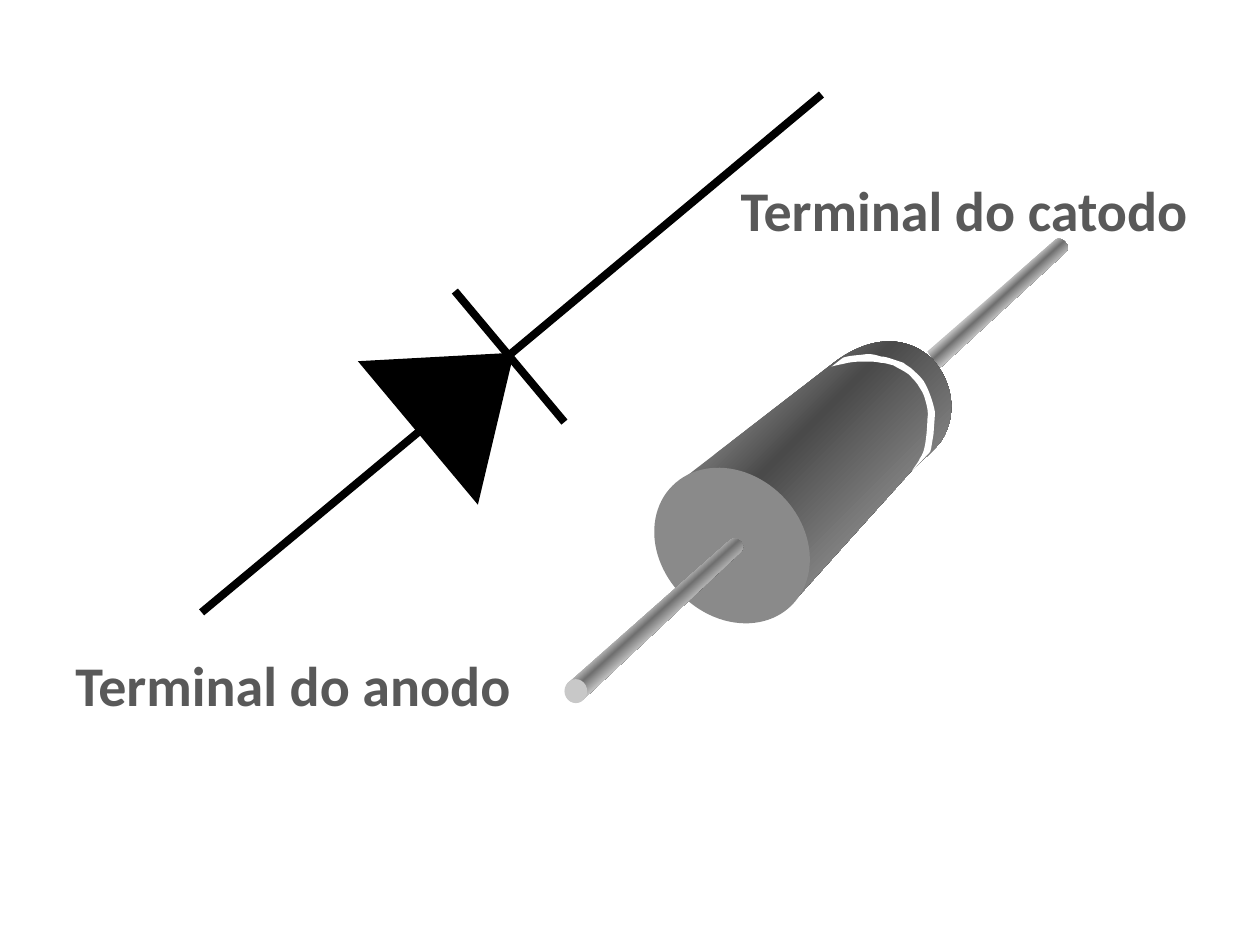
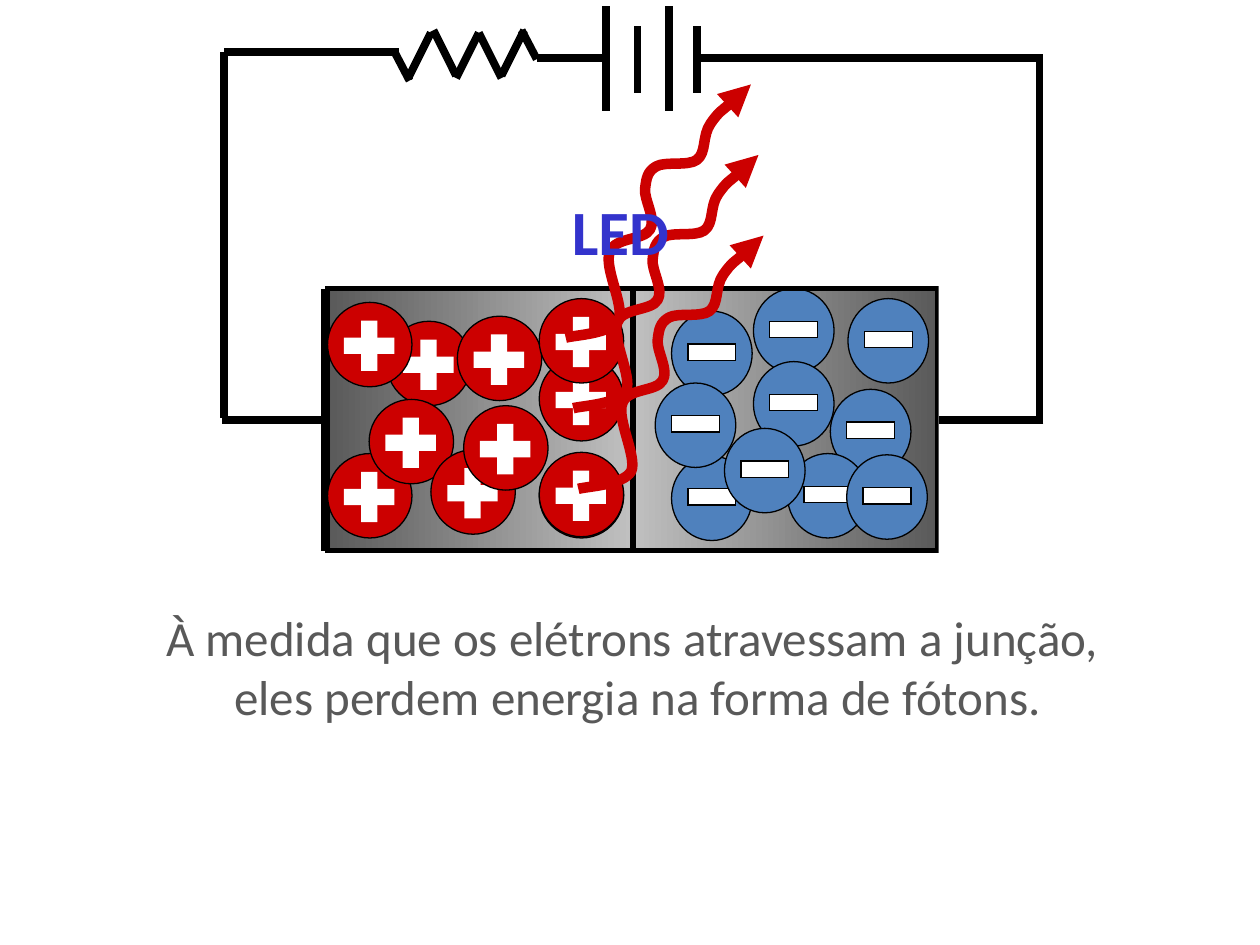
from dataclasses import dataclass
from itertools import chain
from typing import Optional, Sequence

from lxml.etree import SubElement
from pptx import Presentation
from pptx.dml.color import RGBColor
from pptx.enum.shapes import MSO_CONNECTOR, MSO_SHAPE
from pptx.enum.text import MSO_ANCHOR, MSO_AUTO_SIZE, PP_ALIGN
from pptx.oxml.ns import qn
from pptx.shapes.autoshape import Shape
from pptx.shapes.connector import Connector
from pptx.slide import Slide
from pptx.util import Emu, Pt

PX = 9144
SLIDE_SIZE = (1000, 750)
WIRE = 4.5
Point = tuple[int, int]
Segment = tuple[Point, ...]
Shades = Sequence[tuple[int, str]]

COLORS = {
    "wire": "000000",
    "text": "595959",
    "led": "3333CC",
    "hole": "CC0000",
    "electron": "4F81BD",
    "photon": "CC0000",
    "face": "8A8A8A",
    "tip": "C8C8C8",
    "white": "FFFFFF",
}
BODY_SHADES = ((27, "707070"), (40, "4A4A4A"), (72, "848484"))
LEAD_SHADES = ((45, "C0C0C0"), (49, "707070"), (55, "C8C8C8"))
JUNCTION_SHADES = ((0, "595959"), (50, "C0C0C0"), (100, "595959"))
FRAME_FORMAT = {
    "word_wrap": False,
    "auto_size": MSO_AUTO_SIZE.SHAPE_TO_FIT_TEXT,
    "vertical_anchor": MSO_ANCHOR.MIDDLE,
}


@dataclass(frozen=True)
class Box:
    left: int
    top: int
    width: int
    height: int


@dataclass(frozen=True)
class Wire:
    start: Point
    end: Point


@dataclass(frozen=True)
class Label:
    box: Box
    lines: tuple[str, ...]
    size: int
    color: str = "text"
    bold: bool = True
    align: PP_ALIGN = PP_ALIGN.LEFT


@dataclass(frozen=True)
class Carrier:
    color: str
    width: int
    sign: Box
    sign_turns: tuple[int, ...]
    sign_line: float


ELECTRON = Carrier("electron", 64, Box(13, 26, 38, 13), (0,), 0.75)
HOLE = Carrier("hole", 67, Box(13, 28, 40, 13), (0, 90), 0)
CARRIER_HEIGHT = 67

DIODE_SYMBOL = Box(301, 267, 136, 91)
DIODE_WIRES = (
    Wire((448, 335), (361, 231)),
    Wire((332, 343), (160, 486)),
    Wire((404, 282), (652, 75)),
)
TERMINAL_LABELS = (
    Label(Box(578, 134, 378, 64), ("Terminal do catodo",), 32),
    Label(Box(50, 511, 382, 64), ("Terminal do anodo",), 32),
)
LEAD_END = Box(727, 284, 16, 16)
CATHODE_LEAD = (
    ((736, 279),), ((838, 190),),
    ((842, 187), (851, 195), (846, 200)), ((746, 292),),
)
ANODE_LEAD = (
    ((450, 543),), ((579, 429),),
    ((584, 424), (594, 432), (588, 438)), ((463, 555),),
)
DIODE_BODY = (
    ((546, 377),), ((659, 290),),
    ((690, 265), (720, 266), (740, 285)),
    ((757, 304), (760, 330), (747, 350)),
    ((741, 358), (732, 365), (724, 373)),
    ((633, 474),), ((581, 433),),
)
CATHODE_BAND = (
    ((660, 291),), ((669, 284),),
    ((674, 282), (683, 282), (688, 281)),
    ((693, 281), (696, 282), (699, 283)),
    ((702, 283), (705, 284), (708, 285)),
    ((711, 286), (714, 287), (717, 288)),
    ((719, 290), (722, 291), (725, 294)),
    ((728, 297), (733, 301), (735, 306)),
    ((738, 312), (741, 321), (742, 327)),
    ((742, 333), (741, 339), (741, 344)), ((739, 356),),
    ((738, 359), (739, 358), (736, 361)), ((724, 374),),
    ((723, 374), (729, 367), (730, 364)),
    ((732, 361), (733, 359), (734, 354)),
    ((735, 349), (736, 339), (736, 333)),
    ((737, 327), (736, 324), (735, 320)),
    ((734, 316), (733, 312), (730, 308)),
    ((728, 304), (724, 300), (721, 297)),
    ((717, 294), (712, 292), (709, 290)),
    ((705, 289), (702, 288), (699, 288)),
    ((695, 287), (691, 287), (687, 287)),
    ((683, 287), (678, 287), (673, 288)),
    ((669, 289), (663, 290), (660, 291)),
)

JUNCTION = Box(258, 229, 487, 208)
JUNCTION_HALVES = (Box(260, 229, 243, 208), Box(502, 229, 243, 208))
JUNCTION_EDGES = (Wire((258, 229), (258, 437)), Wire((745, 229), (745, 437)))
RIGHT_MARGIN = Box(745, 222, 255, 220)
REAR_HOLES = ((428, 307),)
INNER_ELECTRONS = (
    (659, 309), (598, 229), (625, 360), (598, 287),
    (533, 247), (533, 362), (673, 237), (672, 361),
)
FRONT_ELECTRONS = ((575, 340), (520, 304))
HOLES = (
    (307, 255), (260, 240), (260, 360), (293, 317), (342, 357), (363, 251),
    (428, 360), (368, 322), (428, 359), (428, 283), (428, 237),
)
CIRCUIT = (
    Wire((481, 5), (481, 88)),
    Wire((531, 5), (531, 88)),
    Wire((553, 21), (553, 74)),
    Wire((506, 21), (506, 74)),
    Wire((313, 41), (325, 64)),
    Wire((324, 62), (342, 26)),
    Wire((344, 24), (362, 60)),
    Wire((362, 62), (380, 26)),
    Wire((380, 26), (398, 62)),
    Wire((398, 60), (416, 24)),
    Wire((414, 24), (426, 47)),
    Wire((317, 41), (178, 41)),
    Wire((178, 41), (178, 332)),
    Wire((555, 46), (828, 46)),
    Wire((825, 46), (825, 332)),
    Wire((426, 46), (480, 46)),
)
JUNCTION_LEADS = ((Wire((176, 333), (258, 333)), 1), (Wire((828, 333), (745, 333)), 3))
PHOTON_STARTS = ((459, 388), (449, 268), (455, 324))
PHOTON_WAVE = (
    ((0, 0),),
    ((7, -2), (36, -3), (42, -14)),
    ((47, -25), (30, -56), (35, -68)),
    ((39, -80), (62, -77), (67, -86)),
    ((72, -94), (62, -110), (63, -118)),
    ((64, -127), (65, -132), (72, -136)),
    ((79, -140), (97, -136), (104, -141)),
    ((112, -147), (108, -160), (115, -170)),
    ((122, -180), (141, -194), (147, -201)),
)
JUNCTION_LABELS = (
    Label(Box(444, 151, 123, 64), ("LED",), 36, "led"),
    Label(
        Box(109, 477, 794, 104),
        ("À medida que os elétrons atravessam a junção, ",
         "eles perdem energia na forma de fótons."),
        28, bold=False, align=PP_ALIGN.CENTER,
    ),
)


def place(box: Box) -> tuple[Emu, ...]:
    return tuple(Emu(v * PX) for v in (box.left, box.top, box.width, box.height))


def style(shape: Shape, fill: Optional[str], line: str = "wire", width: float = 0) -> Shape:
    shape.shadow.inherit = False
    if fill:
        shape.fill.solid()
        shape.fill.fore_color.rgb = RGBColor.from_string(COLORS[fill])
    else:
        shape.fill.background()
    if width:
        shape.line.color.rgb = RGBColor.from_string(COLORS[line])
        shape.line.width = Pt(width)
    else:
        shape.line.fill.background()
    return shape


def shade(shape: Shape, shades: Shades, angle: int) -> None:
    shape.fill.gradient()
    gradient = shape.element.spPr.find(qn("a:gradFill"))
    stops = gradient.find(qn("a:gsLst"))
    for stop in list(stops):
        stops.remove(stop)
    for position, color in shades:
        stop = SubElement(stops, qn("a:gs"), pos=str(position * 1000))
        SubElement(stop, qn("a:srgbClr"), val=color)
    gradient.find(qn("a:lin")).set("ang", str(angle * 60000))


def add_outline(slide: Slide, segments: Sequence[Segment], origin: Point = (0, 0),
                close: bool = True) -> Shape:
    points = [((origin[0] + x) * PX, (origin[1] + y) * PX) for x, y in chain(*segments)]
    builder = slide.shapes.build_freeform(*points[0], scale=1.0)
    builder.add_line_segments(points[1:], close=close)
    shape = builder.convert_to_shape()
    strokes = iter(list(shape.element.spPr.iter(qn("a:lnTo"))))
    for segment in segments[1:]:
        stroke = next(strokes)
        if len(segment) == 3:
            stroke.tag = qn("a:cubicBezTo")
            for _ in segment[1:]:
                control = next(strokes)
                stroke.append(control[0])
                control.getparent().remove(control)
    return shape


def add_preset(slide: Slide, kind: MSO_SHAPE, box: Box, fill: Optional[str],
               width: float = 0, turn: float = 0) -> Shape:
    shape = style(slide.shapes.add_shape(kind, *place(box)), fill, width=width)
    shape.rotation = turn
    if width and kind != MSO_SHAPE.OVAL:
        SubElement(shape.element.spPr.find(qn("a:ln")), qn("a:miter"), lim="800000")
    return shape


def add_wire(slide: Slide, wire: Wire) -> Connector:
    ends = [Emu(v * PX) for v in (*wire.start, *wire.end)]
    connector = slide.shapes.add_connector(MSO_CONNECTOR.STRAIGHT, *ends)
    connector.line.color.rgb = RGBColor.from_string(COLORS["wire"])
    connector.line.width = Pt(WIRE)
    SubElement(connector.element.spPr, qn("a:effectLst"))
    return connector


def add_label(slide: Slide, label: Label) -> None:
    frame = slide.shapes.add_textbox(*place(label.box)).text_frame
    for name, value in FRAME_FORMAT.items():
        setattr(frame, name, value)
    font_format = {"name": "Calibri", "size": Pt(label.size), "bold": label.bold}
    for index, line in enumerate(label.lines):
        paragraph = frame.add_paragraph() if index else frame.paragraphs[0]
        paragraph.alignment = label.align
        run = paragraph.add_run()
        run.text = line
        for name, value in font_format.items():
            setattr(run.font, name, value)
        run.font.color.rgb = RGBColor.from_string(COLORS[label.color])


def add_carriers(slide: Slide, carrier: Carrier, places: Sequence[Point]) -> None:
    sign = carrier.sign
    for left, top in places:
        ball = Box(left, top, carrier.width, CARRIER_HEIGHT)
        add_preset(slide, MSO_SHAPE.OVAL, ball, carrier.color, 0.75)
        bar = Box(left + sign.left, top + sign.top, sign.width, sign.height)
        for turn in carrier.sign_turns:
            add_preset(slide, MSO_SHAPE.RECTANGLE, bar, "white", carrier.sign_line, turn)


def add_photon(slide: Slide, start: Point) -> None:
    photon = style(add_outline(slide, PHOTON_WAVE, start, close=False), None, "photon", 6)
    SubElement(photon.element.spPr.find(qn("a:ln")), qn("a:tailEnd"), type="triangle")


def build_terminals(slide: Slide) -> None:
    add_preset(slide, MSO_SHAPE.ISOSCELES_TRIANGLE, DIODE_SYMBOL, "wire", WIRE, 50.1)
    for wire in DIODE_WIRES:
        add_wire(slide, wire)
    for label in TERMINAL_LABELS:
        add_label(slide, label)
    add_preset(slide, MSO_SHAPE.OVAL, LEAD_END, "white")
    shade(style(add_outline(slide, CATHODE_LEAD), None), LEAD_SHADES, 48)
    shade(style(add_outline(slide, DIODE_BODY), None), BODY_SHADES, 45)
    add_preset(slide, MSO_SHAPE.OVAL, Box(514, 377, 134, 112), "face", turn=45)
    shade(style(add_outline(slide, ANODE_LEAD), None), LEAD_SHADES, 48)
    add_preset(slide, MSO_SHAPE.OVAL, Box(448, 539, 18, 19), "tip")
    style(add_outline(slide, CATHODE_BAND), "white")


def build_junction(slide: Slide) -> None:
    add_carriers(slide, HOLE, REAR_HOLES)
    junction = add_preset(slide, MSO_SHAPE.RECTANGLE, JUNCTION, None)
    shade(junction, JUNCTION_SHADES, 0)
    add_carriers(slide, ELECTRON, INNER_ELECTRONS)
    for half in JUNCTION_HALVES:
        add_preset(slide, MSO_SHAPE.RECTANGLE, half, None, 3)
    for edge in JUNCTION_EDGES:
        add_wire(slide, edge)
    add_carriers(slide, ELECTRON, FRONT_ELECTRONS)
    add_carriers(slide, HOLE, HOLES)
    add_preset(slide, MSO_SHAPE.RECTANGLE, RIGHT_MARGIN, "white")
    for wire in CIRCUIT:
        add_wire(slide, wire)
    for lead, side in JUNCTION_LEADS:
        add_wire(slide, lead).end_connect(junction, side)
    for start in PHOTON_STARTS:
        add_photon(slide, start)
    for label in JUNCTION_LABELS:
        add_label(slide, label)


def main() -> None:
    deck = Presentation()
    deck.slide_width, deck.slide_height = (Emu(v * PX) for v in SLIDE_SIZE)
    for build in (build_terminals, build_junction):
        build(deck.slides.add_slide(deck.slide_layouts[6]))
    deck.save("out.pptx")


if __name__ == "__main__":
    main()
